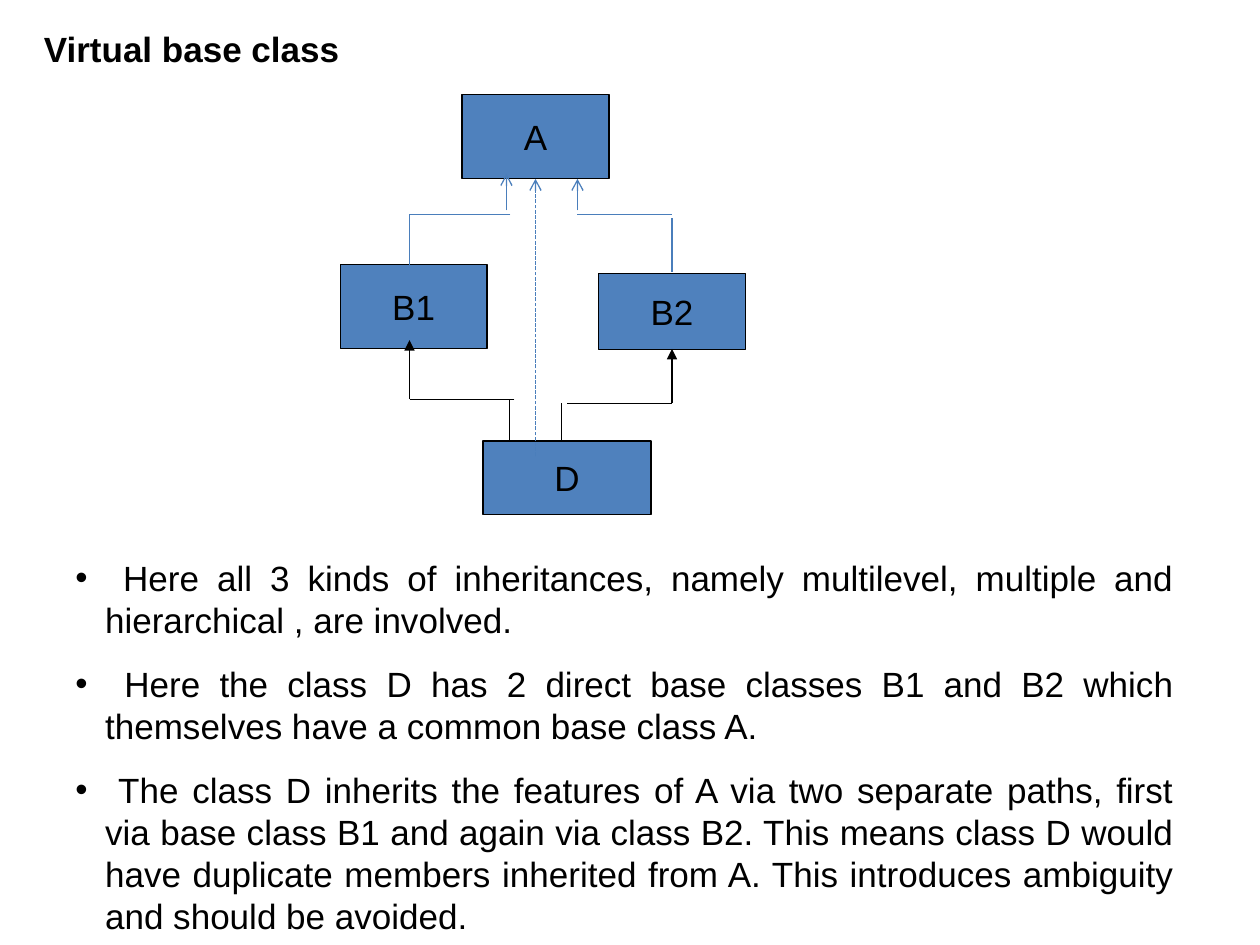
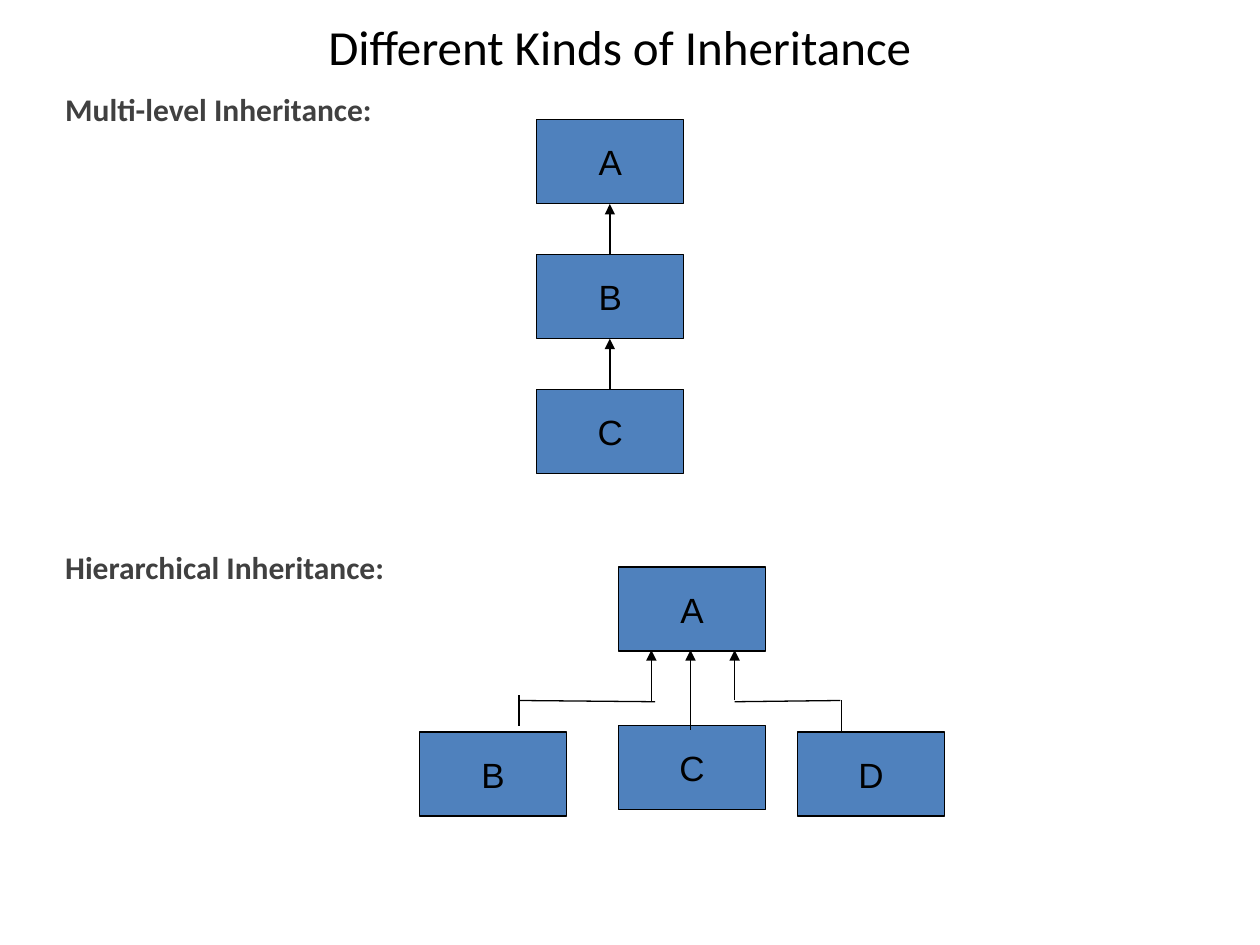
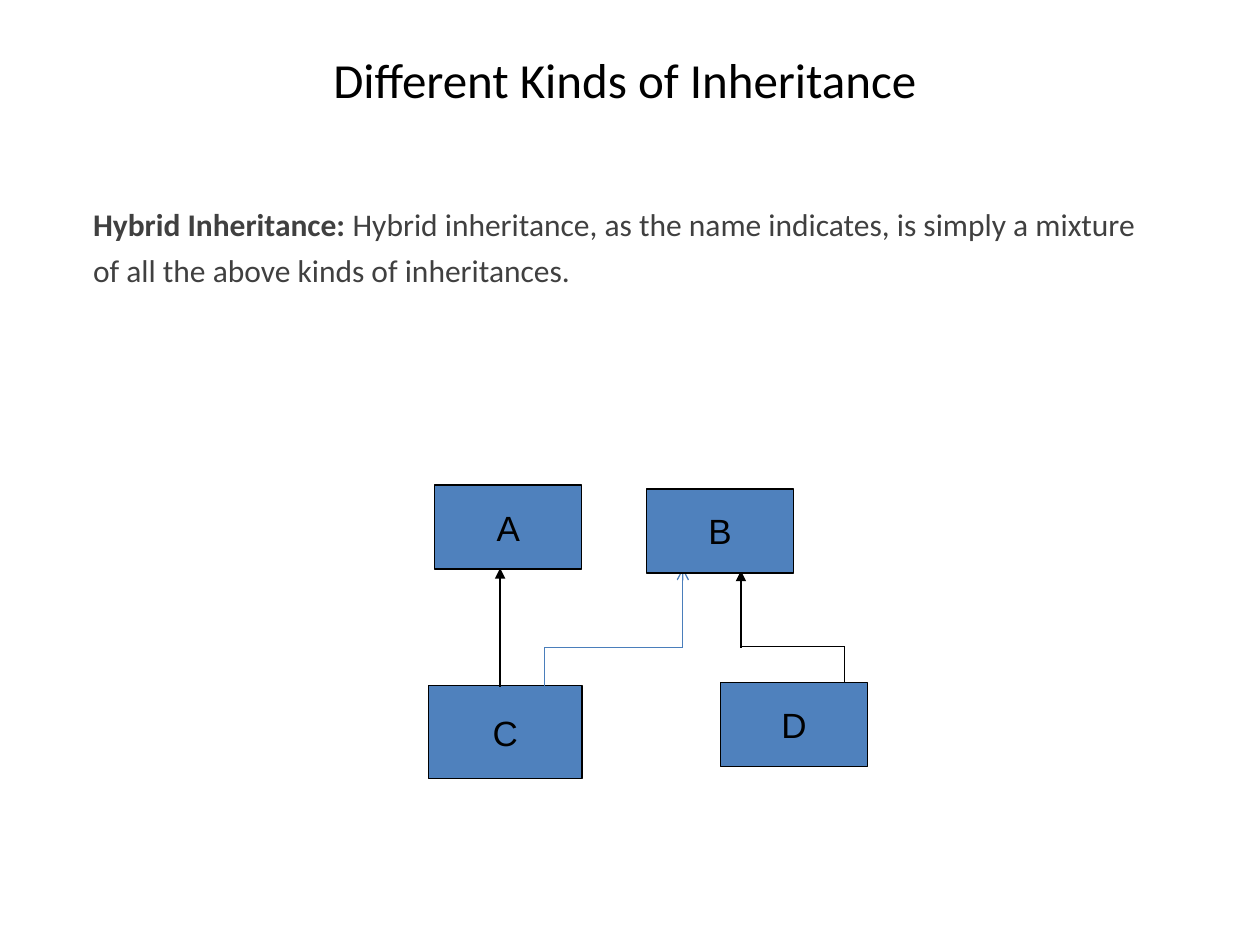
"""Build three slides on virtual base classes and kinds of inheritance."""
from lxml import etree
from pptx import Presentation
from pptx.dml.color import RGBColor
from pptx.enum.dml import MSO_LINE
from pptx.enum.shapes import MSO_CONNECTOR, MSO_SHAPE
from pptx.enum.text import MSO_ANCHOR, PP_ALIGN
from pptx.oxml.ns import qn
from pptx.util import Pt

BLACK = RGBColor(0x00, 0x00, 0x00)
GREY = RGBColor(0x40, 0x40, 0x40)
FILL = RGBColor(0x4F, 0x81, 0xBD)
BLUE = RGBColor(0x4A, 0x7E, 0xBB)
RECT = MSO_SHAPE.RECTANGLE
STRAIGHT = MSO_CONNECTOR.STRAIGHT
DASH = MSO_LINE.SQUARE_DOT
MIDDLE = MSO_ANCHOR.MIDDLE
CENTER = PP_ALIGN.CENTER
JUSTIFY = PP_ALIGN.JUSTIFY

PLAIN = (BLACK, None, None)
SOLID = (BLACK, "triangle", None)
THIN = (BLUE, None, None)
OPEN = (BLUE, "arrow", None)
DOTTED = (BLUE, "arrow", DASH)
WIDE, HIGH = 84, 48
TITLE = "Different Kinds of Inheritance"


def write(slide, place, lines, face, size, color, bold=False, bullet=False, gap=0):
    """Add a text box with one paragraph per line and return its frame."""
    frame = slide.shapes.add_textbox(*map(Pt, place)).text_frame
    frame.word_wrap = True
    frame.text = "\n".join(lines)
    for i, para in enumerate(frame.paragraphs):
        if bullet:
            props = para._p.get_or_add_pPr()
            props.set("marL", str(Pt(17)))
            props.set("indent", str(-Pt(17)))
            etree.SubElement(props, qn("a:buFont"), typeface="Arial")
            etree.SubElement(props, qn("a:buChar"), char="•")
            para.alignment = JUSTIFY
        if i:
            para.space_before = Pt(gap)
        font = para.font
        font.name, font.size, font.bold = face, Pt(size), bold
        font.color.rgb = color
    return frame


def draw(slide, boxes, wires):
    """Draw labelled boxes, then the wires over them."""
    for name, *place in boxes:
        box = slide.shapes.add_shape(RECT, *map(Pt, place))
        box.shadow.inherit = False
        box.fill.solid()
        box.fill.fore_color.rgb = FILL
        box.line.color.rgb = BLACK
        box.line.width = Pt(0.75)
        frame = box.text_frame
        frame.word_wrap = False
        frame.vertical_anchor = MIDDLE
        frame.text = name
        para = frame.paragraphs[0]
        para.alignment = CENTER
        para.font.name, para.font.size = "Arial", Pt(20)
        para.font.color.rgb = BLACK
    for *ends, (color, tip, dash) in wires:
        wire = slide.shapes.add_connector(STRAIGHT, *map(Pt, ends))
        wire.line.color.rgb = color
        wire.line.width = Pt(0.75)
        if dash:
            wire.line.dash_style = dash
        props = wire._element.spPr
        if tip:
            etree.SubElement(props.find(qn("a:ln")), qn("a:tailEnd"), type=tip)
        etree.SubElement(props, qn("a:effectLst"))


deck = Presentation()
deck.slide_width, deck.slide_height = Pt(720), Pt(540)
one, two, three = [deck.slides.add_slide(deck.slide_layouts[6]) for _ in range(3)]

head = write(one, (18, 0, 678, 44), ["Virtual base class"], "Arial", 20, BLACK, True)
head.paragraphs[0].line_spacing = 1.5
draw(one, [
    ("A", 264, 54, WIDE, HIGH),
    ("B1", 194.4, 151.2, WIDE, HIGH),
    ("B2", 342, 156.2, WIDE, 43.4),
    ("D", 276, 252, 96, 42),
], [
    (291.6, 122.4, 234, 122.4, THIN),
    (234, 122.4, 234, 151.2, THIN),
    (289.4, 120.2, 289.4, 99.4, OPEN),
    (330, 122.4, 384, 122.4, THIN),
    (384, 124.6, 384, 155.5, THIN),
    (330, 120.2, 330, 102.2, OPEN),
    (306, 260.6, 306, 102.2, DOTTED),
    (291, 228.2, 291, 252, PLAIN),
    (294, 228.2, 234, 228.2, PLAIN),
    (234, 228.2, 234, 194.4, SOLID),
    (321, 230.4, 321, 252, PLAIN),
    (384, 230.4, 324, 230.4, PLAIN),
    (384, 230.4, 384, 199.4, SOLID),
])
write(one, (36, 314.6, 642, 224), [
    " Here all 3 kinds of inheritances, namely multilevel, multiple and "
    "hierarchical , are involved.",
    " Here the class D has 2 direct base classes B1 and B2 which "
    "themselves have a common base class A.",
    " The class D inherits the features of A via two separate paths, first "
    "via base class B1 and again via class B2. This means class D would "
    "have duplicate members inherited from A. This introduces ambiguity "
    "and should be avoided.",
], "Arial", 20, BLACK, bullet=True, gap=12.5)

for slide, left, high in ((two, 30.2, 52.6), (three, 33.1, 90)):
    head = write(slide, (left, 0, 648, high), [TITLE], "Calibri", 28, BLACK)
    head.vertical_anchor = MIDDLE
    head.paragraphs[0].alignment = CENTER

for top, kind in ((48.2, "Multi-level"), (309.4, "Hierarchical")):
    write(two, (30.2, top, 260, 30), [f"{kind} Inheritance:"], "Calibri", 18, GREY, True)
STEP = 77
draw(two,
     [(name, 306.7, 68.4 + i * STEP, WIDE, HIGH) for i, name in enumerate("ABC")],
     [(348.5, 145.4 + i * STEP, 348.5, 116.6 + i * STEP, SOLID) for i in range(2)])
draw(two, [
    ("A", 353.5, 324, WIDE, HIGH),
    ("B", 239.8, 418.3, WIDE, HIGH),
    ("C", 353.5, 414.7, WIDE, HIGH),
    ("D", 455.8, 418.3, WIDE, HIGH),
], [
    (296.6, 397.4, 296.6, 414.7, PLAIN),
    (296.6, 400.3, 374.4, 401, PLAIN),
    (372.2, 401, 372.2, 371.5, SOLID),
    (394.6, 416.9, 394.6, 371.5, SOLID),
    (481, 400.3, 481, 418.3, PLAIN),
    (419.8, 401, 480.2, 400.3, PLAIN),
    (419.8, 400.3, 419.8, 371.5, SOLID),
])

body = write(three, (46.1, 113.8, 661, 55.4), [
    "Hybrid Inheritance: ",
    "of all the above kinds of inheritances.",
], "Calibri", 18, GREY, gap=4.5)
lead = body.paragraphs[0]
lead.runs[0].font.bold = True
lead.add_run().text = "Hybrid inheritance, as the name indicates, is simply a mixture"
draw(three, [
    ("A", 248.4, 277.2, WIDE, HIGH),
    ("C", 244.8, 391.7, 87.8, 53.3),
    ("D", 411.8, 390.2, WIDE, HIGH),
], [
    (285.8, 392.4, 285.8, 324.7, SOLID),
    (311, 370.1, 311, 392.4, THIN),
    (311, 370.1, 389.5, 370.1, THIN),
    (390.2, 370.1, 390.2, 324.7, OPEN),
    (482.4, 369.4, 482.4, 390.2, PLAIN),
    (482.4, 369.4, 422.6, 369.4, PLAIN),
    (423.4, 370.1, 423.4, 326.2, SOLID),
])
draw(three, [("B", 369.4, 279.4, WIDE, HIGH)], [])

deck.save("out.pptx")
